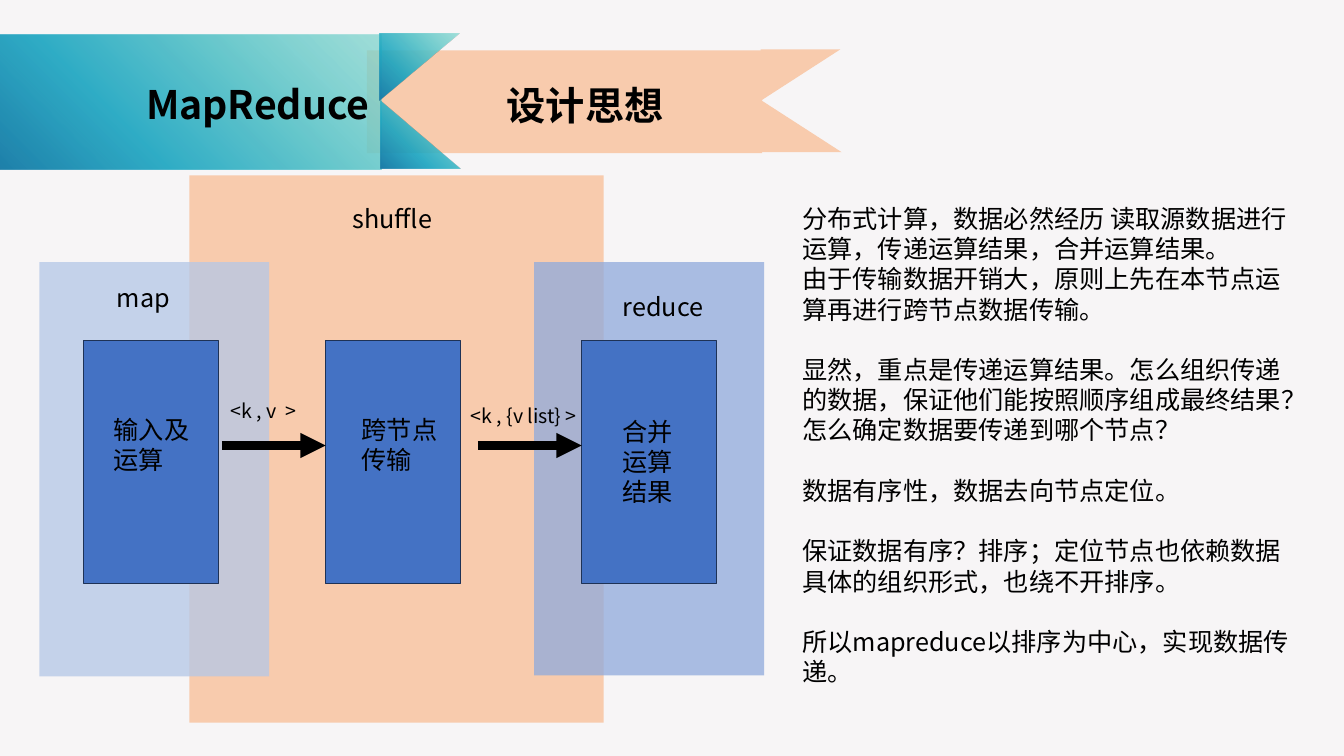
from dataclasses import dataclass

from lxml import etree
from pptx import Presentation
from pptx.dml.color import RGBColor
from pptx.enum.shapes import MSO_CONNECTOR, MSO_SHAPE
from pptx.enum.text import MSO_ANCHOR, MSO_AUTO_SIZE, PP_ALIGN
from pptx.oxml.ns import qn
from pptx.util import Pt

RECTANGLE = MSO_SHAPE.RECTANGLE
TRIANGLE = MSO_SHAPE.ISOSCELES_TRIANGLE
STRAIGHT = MSO_CONNECTOR.STRAIGHT
TOP, MIDDLE = MSO_ANCHOR.TOP, MSO_ANCHOR.MIDDLE
GROW = MSO_AUTO_SIZE.SHAPE_TO_FIT_TEXT
LEFT = PP_ALIGN.LEFT

FONT = "Noto Sans CJK SC"
BLACK, PEACH, BLUE, NAVY = "000000", "F8CBAD", "4472C4", "1E3256"
LINE_RATIO = 1.2
RIBBON_MIDDLE = 72
RIBBON_LENGTH = 282.24
FOLD_WIDTH = 56.88
TEAL_STOPS = [(0, "80D6CE", 72), (32, "5CC5C9", 90),
              (65, "19A5C1", 89), (100, "1E7CA8", 100)]


@dataclass
class Area:
    left: float
    top: float
    width: float
    height: float
    color: str
    opacity: int = 100


@dataclass
class Label:
    text: str
    left: float
    top: float
    width: float
    height: float
    size: float = 18
    bold: bool = False


@dataclass
class Paragraph:
    text: str
    gap: float = 0


def rgb(color: str) -> RGBColor:
    return RGBColor.from_string(color)


def child(parent, tag: str, **attributes):
    return etree.SubElement(parent, qn(tag), attributes)


def fill_solid(shape, color: str, opacity: int = 100) -> None:
    shape.fill.solid()
    shape.fill.fore_color.rgb = rgb(color)
    if opacity < 100:
        tint = shape.element.spPr.find(qn("a:solidFill"))[0]
        child(tint, "a:alpha", val=str(opacity * 1000))


def fill_teal(shape) -> None:
    shape.fill.gradient()
    gradient = shape.element.spPr.find(qn("a:gradFill"))
    for part in list(gradient):
        gradient.remove(part)
    gradient.set("rotWithShape", "1")
    stops = child(gradient, "a:gsLst")
    for position, color, opacity in TEAL_STOPS:
        stop = child(stops, "a:gs", pos=str(position * 1000))
        tint = child(stop, "a:srgbClr", val=color)
        child(tint, "a:alpha", val=str(opacity * 1000))
    circle = child(gradient, "a:path", path="circle")
    child(circle, "a:fillToRect", l="100000", b="100000")


def add_block(shapes, kind, left: float, top: float, width: float, height: float):
    shape = shapes.add_shape(kind, Pt(left), Pt(top), Pt(width), Pt(height))
    shape.shadow.inherit = False
    shape.line.fill.background()
    return shape


def add_turned(shapes, kind, left: float, middle: float, width: float,
               height: float, angle: int):
    """Add a quarter-turned block whose visible size is width by height."""
    shape = add_block(shapes, kind, left + (width - height) / 2,
                      middle - width / 2, height, width)
    shape.rotation = angle
    return shape


def add_ribbon(page, right: float, height: float, paint) -> None:
    shapes = page.shapes.add_group_shape().shapes
    fold = height / 2
    band = add_turned(shapes, RECTANGLE, right - RIBBON_LENGTH, RIBBON_MIDDLE + 0.72,
                      RIBBON_LENGTH, height, 270)
    lower = add_block(shapes, TRIANGLE, right, RIBBON_MIDDLE, FOLD_WIDTH, fold)
    upper = add_turned(shapes, TRIANGLE, right - 1, RIBBON_MIDDLE - fold / 2,
                       FOLD_WIDTH, fold, 90)
    for corner in (lower, upper):
        corner.adjustments[0] = 0
    for part in (band, lower, upper):
        paint(part)


def add_span(para, text: str, size: float, bold: bool = False) -> None:
    para.alignment = LEFT
    para.line_spacing = Pt(size * LINE_RATIO)
    span = para.add_run()
    span.text = text
    span.font.size = Pt(size)
    span.font.bold = bold
    span.font.name = FONT
    span.font.color.rgb = rgb(BLACK)
    child(span.font._element, "a:ea", typeface=FONT)


def place(box, left: float, top: float, width: float, height: float, anchor):
    box.left, box.top, box.width, box.height = Pt(left), Pt(top), Pt(width), Pt(height)
    frame = box.text_frame
    frame.word_wrap = True
    frame.auto_size = GROW
    frame.vertical_anchor = anchor
    return frame


def write_label(box, label: Label) -> None:
    frame = place(box, label.left, label.top, label.width, label.height, TOP)
    add_span(frame.paragraphs[0], label.text, label.size, label.bold)


def add_label(page, label: Label) -> None:
    write_label(page.shapes.add_textbox(0, 0, 0, 0), label)


def add_arrow(page, start: float, end: float, level: float) -> None:
    arrow = page.shapes.add_connector(STRAIGHT, Pt(start), Pt(level), Pt(end), Pt(level))
    arrow.line.width = Pt(6)
    arrow.line.color.rgb = rgb(BLACK)
    child(arrow.line._get_or_add_ln(), "a:tailEnd", type="triangle")
    child(arrow.element.spPr, "a:effectLst")


STAGES = [Area(135.36, 125.28, 295.92, 390.96, PEACH),
          Area(381.6, 187.2, 164.16, 295.2, "8FAADC", 75),
          Area(28.08, 187.2, 164.16, 295.92, "B4C7E7", 75)]
STEP_LEFTS = [59.76, 232.56, 415.44]
ARROWS = [(158.4, 232.56), (341.28, 415.44)]
TITLE = Label("MapReduce", 97.2, 54, 249.12, 41.04, 28, True)
SUBTITLE = Label("设计思想", 354.96, 54.72, 288.72, 41.04, 28, True)
LABELS = [Label("输入及运算", 74.16, 292.32, 72, 51.12),
          Label("跨节点传输", 251.28, 292.32, 72, 51.12),
          Label("合并运算结果", 437.76, 293.76, 59.04, 72.72),
          Label("map", 76.32, 198, 72, 28.8),
          Label("shuffle", 244.8, 141.84, 90, 28.8),
          Label("reduce", 437.76, 204.48, 74.16, 28.8),
          Label("<k , {v list} >", 329.04, 285.12, 185.04, 24.48, 14),
          Label("<k , v  >", 157.68, 281.52, 185.04, 24.48, 14)]
GAP = 18 * LINE_RATIO
IDEAS = [
    Paragraph("分布式计算，数据必然经历 读取源数据进行运算，传递运算结果，合并运算结果。"),
    Paragraph("由于传输数据开销大，原则上先在本节点运算再进行跨节点数据传输。"),
    Paragraph("显然，重点是传递运算结果。怎么组织传递的数据，保证他们能按照顺序组成最终结果？"
              "怎么确定数据要传递到哪个节点？", GAP),
    Paragraph("数据有序性，数据去向节点定位。", GAP),
    Paragraph("保证数据有序？排序；定位节点也依赖数据具体的组织形式，也绕不开排序。", GAP),
    Paragraph("所以mapreduce以排序为中心，实现数据传递。", GAP),
]


def main() -> None:
    deck = Presentation()
    deck.slide_width, deck.slide_height = Pt(960), Pt(540)
    page = deck.slides.add_slide(deck.slide_layouts[1])
    page.background.fill.solid()
    page.background.fill.fore_color.rgb = rgb("F7F5F6")
    title, body = page.placeholders

    # Stage areas
    for area in STAGES:
        shape = add_block(page.shapes, RECTANGLE, area.left, area.top,
                          area.width, area.height)
        fill_solid(shape, area.color, area.opacity)

    # Ribbons with the heading
    add_ribbon(page, 544.32, 73.44, lambda shape: fill_solid(shape, PEACH))
    add_ribbon(page, 272.16, 96.48, fill_teal)
    add_label(page, SUBTITLE)
    for placeholder in (title, body):
        page.shapes.element.append(placeholder.element)
    write_label(title, TITLE)

    # Explanation
    frame = place(body, 565.92, 139.68, 365.04, 356.4, MIDDLE)
    for index, idea in enumerate(IDEAS):
        para = frame.add_paragraph() if index else frame.paragraphs[0]
        layout = para._p.get_or_add_pPr()
        layout.set("marL", "0")
        layout.set("indent", "0")
        child(layout, "a:buNone")
        para.space_before = Pt(idea.gap)
        add_span(para, idea.text, 18)

    # Steps, arrows and captions
    for left in STEP_LEFTS:
        step = add_block(page.shapes, RECTANGLE, left, 243.36, 96.48, 173.52)
        fill_solid(step, BLUE)
        step.line.color.rgb = rgb(NAVY)
        step.line.width = Pt(1)
    for start, end in ARROWS:
        add_arrow(page, start, end, 318.24)
    for label in LABELS:
        add_label(page, label)

    deck.save("out.pptx")


if __name__ == "__main__":
    main()
